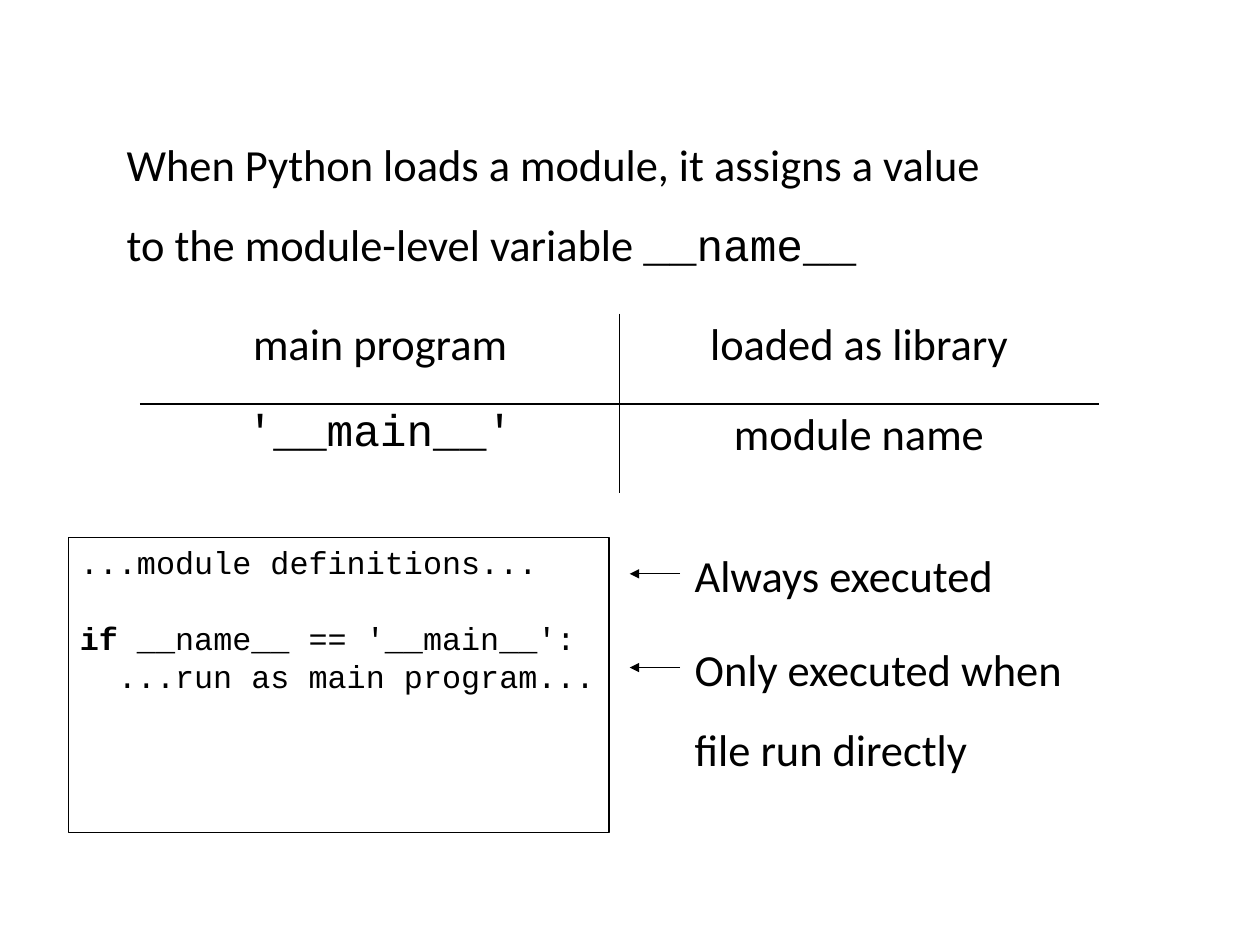
from dataclasses import dataclass

from lxml.etree import SubElement
from pptx import Presentation
from pptx.dml.color import RGBColor
from pptx.enum.shapes import MSO_CONNECTOR, MSO_SHAPE
from pptx.enum.text import MSO_ANCHOR, MSO_AUTO_SIZE, PP_ALIGN
from pptx.oxml.ns import qn
from pptx.slide import Slide
from pptx.util import Pt

COLOURS = {"ink": "000000"}
BODY, CODE = "Calibri", "Courier New"
INK = RGBColor.from_string(COLOURS["ink"])


def set_all(target, values):
    for name, value in values.items():
        setattr(target, name, value)


@dataclass
class SlideWriter:
    page: Slide
    body_size: float = 28
    code_size: float = 20
    line_width: float = 0.75

    def span(self, para, text, font=BODY, size=None, bold=False):
        run = para.add_run()
        run.text = text
        run.font.color.rgb = INK
        set_all(run.font, {"name": font, "size": Pt(size or self.body_size), "bold": bold})

    def text(self, left, top, width, height, lines):
        """Each line is a list of (text, font) spans."""
        box = self.page.shapes.add_textbox(Pt(left), Pt(top), Pt(width), Pt(height))
        frame = box.text_frame
        set_all(frame, {"word_wrap": False, "auto_size": MSO_AUTO_SIZE.SHAPE_TO_FIT_TEXT})
        for index, spans in enumerate(lines):
            para = frame.add_paragraph() if index else frame.paragraphs[0]
            para.line_spacing = 1.5
            properties = para._p.get_or_add_pPr()
            properties.set("marL", str(Pt(36)))
            properties.set("indent", str(-Pt(36)))
            for text, font in spans:
                self.span(para, text, font)

    def code(self, left, top, width, height, lines):
        """Each line is (space before, list of (text, bold) spans)."""
        box = self.page.shapes.add_shape(
            MSO_SHAPE.RECTANGLE, Pt(left), Pt(top), Pt(width), Pt(height))
        box.shadow.inherit = False
        box.fill.background()
        box.line.color.rgb = INK
        box.line.width = Pt(self.line_width)
        frame = box.text_frame
        set_all(frame, {"word_wrap": False, "vertical_anchor": MSO_ANCHOR.TOP})
        for index, (gap, spans) in enumerate(lines):
            para = frame.add_paragraph() if index else frame.paragraphs[0]
            para.alignment = PP_ALIGN.LEFT
            if gap:
                para.space_before = Pt(gap)
            for text, bold in spans:
                self.span(para, text, CODE, self.code_size, bold)

    def border(self, cell, side):
        edge = SubElement(cell._tc.get_or_add_tcPr(), qn(f"a:{side}"), w=str(Pt(1)))
        fill = SubElement(edge, qn("a:solidFill"))
        SubElement(fill, qn("a:srgbClr"), val=COLOURS["ink"])

    def cross_table(self, left, top, column_width, row_height, rows):
        """Draw a grid of (text, font) cells with inner rules only."""
        row_count, column_count = len(rows), len(rows[0])
        table = self.page.shapes.add_table(
            row_count, column_count, Pt(left), Pt(top),
            Pt(column_width * column_count), Pt(row_height * row_count)).table
        set_all(table, {"first_row": False, "horz_banding": False})
        for r, row in enumerate(rows):
            for c, (text, font) in enumerate(row):
                cell = table.cell(r, c)
                inner = {"lnL": c > 0, "lnR": c < column_count - 1,
                         "lnT": r > 0, "lnB": r < row_count - 1}
                for side, shown in inner.items():
                    if shown:
                        self.border(cell, side)
                cell.fill.background()
                para = cell.text_frame.paragraphs[0]
                set_all(para, {"alignment": PP_ALIGN.CENTER, "line_spacing": 0.93,
                               "space_after": Pt(14.2)})
                self.span(para, text, font)

    def arrow(self, start, end, y):
        line = self.page.shapes.add_connector(
            MSO_CONNECTOR.STRAIGHT, Pt(start), Pt(y), Pt(end), Pt(y))
        line.line.color.rgb = INK
        line.line.width = Pt(self.line_width)
        SubElement(line.line._get_or_add_ln(), qn("a:tailEnd"), type="triangle")
        SubElement(line._element.spPr, qn("a:effectLst"))


def main():
    deck = Presentation()
    set_all(deck, {"slide_width": Pt(793.75), "slide_height": Pt(595.25)})
    writer = SlideWriter(deck.slides.add_slide(deck.slide_layouts[6]))

    writer.text(72.72, 66, 558, 108.72, [
        [("When Python loads a module, it assigns a value", BODY)],
        [("to the module-level variable ", BODY), ("__name__", CODE)],
    ])
    writer.cross_table(88.56, 198, 301.68, 56.6, [
        [("main program", BODY), ("loaded as library", BODY)],
        [("'__main__'", CODE), ("module name", BODY)],
    ])
    writer.code(43.2, 338.4, 340.56, 185.76, [
        (0, [("...module definitions...", False)]),
        (24, [("if", True), (" __name__ == '__main__':", False)]),
        (0, [("  ...run as main program...", False)]),
    ])
    notes = [
        (324.72, 204.48, 52.56, 361.44, ["Always executed"]),
        (383.76, 248.4, 109.44, 420.48, ["Only executed when", "file run directly"]),
    ]
    for top, width, height, arrow_y, lines in notes:
        writer.text(430.56, top, width, height, [[(line, BODY)] for line in lines])
        writer.arrow(428.4, 396.72, arrow_y)

    deck.save("out.pptx")


if __name__ == "__main__":
    main()
